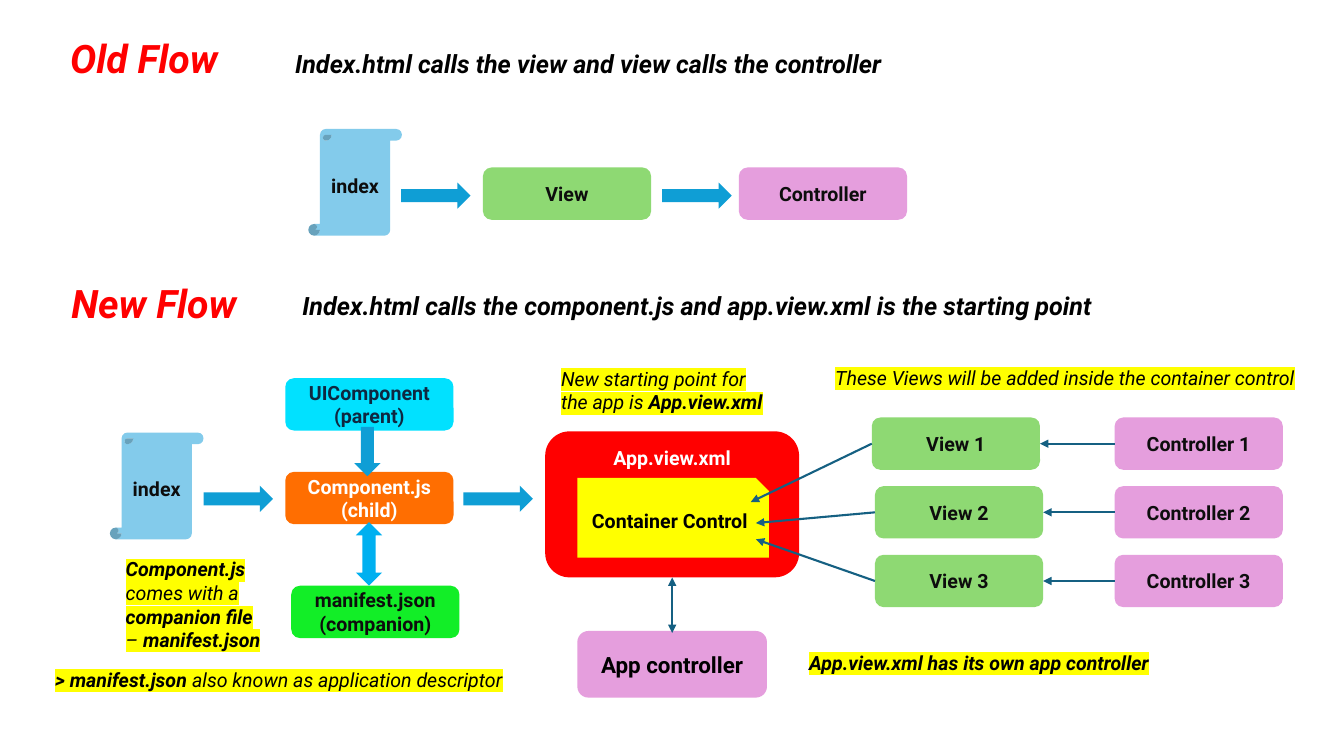
from dataclasses import dataclass

from lxml import etree
from pptx import Presentation
from pptx.dml.color import RGBColor
from pptx.enum.shapes import MSO_CONNECTOR, MSO_SHAPE
from pptx.enum.text import MSO_ANCHOR, MSO_AUTO_SIZE, PP_ALIGN
from pptx.oxml.ns import qn
from pptx.util import Cm, Pt

SCROLL = MSO_SHAPE.VERTICAL_SCROLL
ROUNDED = MSO_SHAPE.ROUNDED_RECTANGLE
SNIPPED = MSO_SHAPE.SNIP_1_RECTANGLE
RIGHT_ARROW = MSO_SHAPE.RIGHT_ARROW
DOWN_ARROW = MSO_SHAPE.DOWN_ARROW
UP_DOWN_ARROW = MSO_SHAPE.UP_DOWN_ARROW
STRAIGHT = MSO_CONNECTOR.STRAIGHT
CENTER = PP_ALIGN.CENTER
LEFT = PP_ALIGN.LEFT
TOP = MSO_ANCHOR.TOP
MIDDLE = MSO_ANCHOR.MIDDLE
GROW = MSO_AUTO_SIZE.SHAPE_TO_FIT_TEXT

RED = RGBColor(0xFF, 0x00, 0x00)
YELLOW = RGBColor(0xFF, 0xFF, 0x00)
BLACK = RGBColor(0x00, 0x00, 0x00)
WHITE = RGBColor(0xFF, 0xFF, 0xFF)
INK = RGBColor(0x0D, 0x0D, 0x0D)
NAVY = RGBColor(0x0E, 0x28, 0x41)
SKY = RGBColor(0x83, 0xCB, 0xEB)
GREEN = RGBColor(0x8E, 0xD9, 0x73)
LILAC = RGBColor(0xE5, 0x9E, 0xDD)
ORANGE = RGBColor(0xFF, 0x6E, 0x01)
BRIGHT_GREEN = RGBColor(0x12, 0xEE, 0x27)
CYAN = RGBColor(0x01, 0xE1, 0xFF)
ARROW_BLUE = RGBColor(0x0F, 0x9E, 0xD5)
LIGHT_BLUE = RGBColor(0x00, 0xB0, 0xF0)
LINE_BLUE = RGBColor(0x15, 0x60, 0x82)

NODE = (4.24, 1.32)
SCROLL_SIZE = (2.36, 2.69)
FLOW_ARROW = (1.75, 0.66)
ROW_TOP, ROW_STEP = 10.52, 1.73
CONTROLLER_LEFT = 28.09


@dataclass(frozen=True)
class Span:
    text: str
    bold: bool = True


@dataclass(frozen=True)
class Caption:
    left: float
    top: float
    width: float
    height: float
    lines: tuple[tuple[Span, ...], ...]
    size: int = 14
    color: RGBColor = BLACK
    highlight: RGBColor | None = YELLOW


@dataclass(frozen=True)
class Block:
    left: float
    top: float
    fill: RGBColor
    lines: tuple[str, ...] = ()
    extent: tuple[float, float] = NODE
    kind: MSO_SHAPE = ROUNDED
    color: RGBColor = INK
    size: int = 14
    anchor: MSO_ANCHOR = MIDDLE


@dataclass(frozen=True)
class Link:
    start: tuple[float, float]
    end: tuple[float, float]
    two_way: bool = False


def flow_arrow(left: float, top: float) -> Block:
    return Block(left, top, ARROW_BLUE, extent=FLOW_ARROW, kind=RIGHT_ARROW)


def index_scroll(left: float, top: float) -> Block:
    return Block(left, top, SKY, ("index",), SCROLL_SIZE, SCROLL)


def heading(left: float, top: float, text: str) -> Caption:
    return Caption(left, top, 6.38, 1.45, ((Span(text),),), 28, RED, None)


def summary(left: float, top: float, width: float, text: str) -> Caption:
    return Caption(left, top, width, 1.02, ((Span(text),),), 18, BLACK, None)


CAPTIONS = (
    heading(1.52, 0.74, "Old Flow"),
    heading(1.55, 6.91, "New Flow"),
    summary(7.19, 1.09, 18.14, "Index.html calls the view and view calls the controller"),
    summary(7.37, 7.19, 22.5,
            "Index.html calls the component.js and app.view.xml is the starting point"),
    Caption(2.92, 13.92, 4.09, 2.64, (
        (Span("Component.js"),),
        (Span("comes with a", False),),
        (Span("companion file"),),
        (Span("– ", False), Span("manifest.json")))),
    Caption(1.14, 16.71, 12.19, 0.86, (
        (Span("> manifest.json "), Span("also known as application descriptor", False)),)),
    Caption(13.89, 9.12, 6.73, 1.45, (
        (Span("New starting point for", False),),
        (Span("the app is", False), Span(" App.view.xml")))),
    Caption(20.8, 9.09, 12.19, 0.86, (
        (Span("These Views will be added inside the container control", False),),)),
    Caption(20.14, 16.28, 12.19, 0.86, ((Span("App.view.xml has its own app controller"),),)),
)

BLOCKS = (
    index_scroll(7.77, 3.25),
    Block(12.17, 4.22, GREEN, ("View",)),
    Block(18.62, 4.22, LILAC, ("Controller",)),
    flow_arrow(10.11, 4.6),
    flow_arrow(16.69, 4.6),
    index_scroll(2.77, 10.9),
    Block(13.74, 10.87, RED, ("App.view.xml",), (6.4, 3.68), color=WHITE, anchor=TOP),
    flow_arrow(5.13, 12.24),
    flow_arrow(11.68, 12.24),
    Block(7.19, 11.89, ORANGE, ("Component.js (child)",), color=WHITE),
    Block(7.34, 14.76, BRIGHT_GREEN, ("manifest.json", "(companion)")),
    Block(8.97, 13.16, LIGHT_BLUE, extent=(0.66, 1.6), kind=UP_DOWN_ARROW),
    Block(14.55, 12.04, YELLOW, ("Container Control",), (4.83, 2.01), SNIPPED, BLACK),
    Block(14.55, 15.9, LILAC, ("App controller",), (4.78, 1.68), color=BLACK, size=16),
    Block(7.19, 9.53, CYAN, ("UIComponent (parent)",), color=NAVY),
    Block(8.93, 10.76, ARROW_BLUE, extent=(0.66, 1.24), kind=DOWN_ARROW),
)

VIEW_LEFTS = (21.97, 22.05, 22.05)
CONTAINER_ENDS = ((18.92, 12.65), (19.05, 13.18), (19.05, 13.59))


def write(box, lines, align: PP_ALIGN, style: dict, color: RGBColor,
          highlight: RGBColor | None = None) -> None:
    frame = box.text_frame
    for number, spans in enumerate(lines):
        para = frame.paragraphs[0] if number == 0 else frame.add_paragraph()
        para.alignment = align
        for span in spans:
            run = para.add_run()
            run.text = span.text
            for name, value in (style | {"bold": span.bold}).items():
                setattr(run.font, name, value)
            run.font.color.rgb = color
            if highlight is not None:
                mark = etree.Element(qn("a:highlight"))
                etree.SubElement(mark, qn("a:srgbClr"), val=str(highlight))
                run.font.fill._xPr.find(qn("a:solidFill")).addnext(mark)


def draw_caption(page, caption: Caption) -> None:
    box = page.shapes.add_textbox(Cm(caption.left), Cm(caption.top),
                                  Cm(caption.width), Cm(caption.height))
    box.text_frame.word_wrap = True
    box.text_frame.auto_size = GROW
    style = {"name": "Roboto", "size": Pt(caption.size), "italic": True}
    write(box, caption.lines, LEFT, style, caption.color, caption.highlight)


def draw_block(page, block: Block) -> None:
    width, height = block.extent
    box = page.shapes.add_shape(block.kind, Cm(block.left), Cm(block.top),
                                Cm(width), Cm(height))
    box.shadow.inherit = False
    box.fill.solid()
    box.fill.fore_color.rgb = block.fill
    box.line.fill.background()
    frame = box.text_frame
    frame.word_wrap = True
    frame.vertical_anchor = block.anchor
    if block.anchor == TOP:
        frame.margin_top = Cm(0.2)
    style = {"name": "Roboto", "size": Pt(block.size)}
    write(box, [(Span(line),) for line in block.lines], CENTER, style, block.color)


def draw_link(page, link: Link) -> None:
    points = [Cm(value) for value in link.start + link.end]
    connector = page.shapes.add_connector(STRAIGHT, *points)
    connector.line.color.rgb = LINE_BLUE
    connector.line.width = Pt(1.5)
    outline = connector.line._get_or_add_ln()
    for end in ("a:headEnd", "a:tailEnd") if link.two_way else ("a:tailEnd",):
        etree.SubElement(outline, qn(end), type="triangle")
    etree.SubElement(outline.getparent(), qn("a:effectLst"))


def main() -> None:
    deck = Presentation()
    deck.slide_width, deck.slide_height = Cm(33.87), Cm(19.05)
    page = deck.slides.add_slide(deck.slide_layouts[6])
    for caption in CAPTIONS:
        draw_caption(page, caption)
    for block in BLOCKS:
        draw_block(page, block)
    draw_link(page, Link((16.94, 14.55), (16.94, 15.95), two_way=True))
    for row, (left, target) in enumerate(zip(VIEW_LEFTS, CONTAINER_ENDS)):
        top = ROW_TOP + row * ROW_STEP
        middle = top + NODE[1] / 2
        draw_block(page, Block(left, top, GREEN, (f"View {row + 1}",)))
        draw_block(page, Block(CONTROLLER_LEFT, top, LILAC, (f"Controller {row + 1}",)))
        draw_link(page, Link((left, middle), target))
        draw_link(page, Link((CONTROLLER_LEFT, middle), (left + NODE[0], middle)))
    deck.save("out.pptx")


if __name__ == "__main__":
    main()
